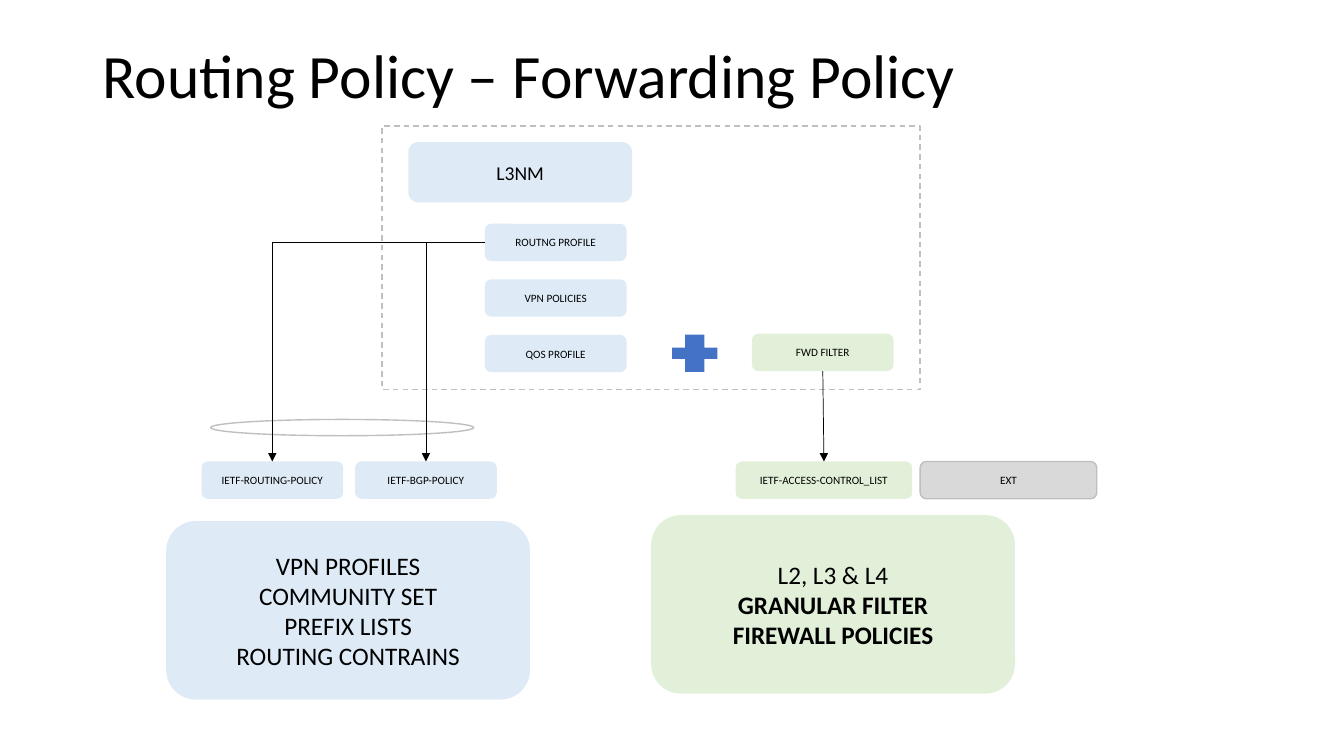
from lxml.etree import SubElement
from pptx import Presentation
from pptx.dml.color import RGBColor
from pptx.enum.dml import MSO_LINE
from pptx.enum.shapes import MSO_CONNECTOR, MSO_SHAPE
from pptx.enum.text import MSO_ANCHOR, MSO_AUTO_SIZE, PP_ALIGN
from pptx.oxml.ns import qn
from pptx.util import Cm, Pt

COLORS = {
    "black": "000000",
    "white": "FFFFFF",
    "blue": "DEEBF7",
    "green": "E2F0D9",
    "gray": "D9D9D9",
    "edge": "BFBFBF",
    "plus": "4472C4",
}
LEFT, TOP, BOTTOM = 1, 0, 2


class Board:
    font = "Calibri"

    def __init__(self, deck):
        self.slide = deck.slides.add_slide(deck.slide_layouts[5])
        self.shapes = self.slide.shapes

    def color(self, name):
        return RGBColor.from_string(COLORS[name])

    def label(self, frame, lines, size, align, bold=()):
        frame.word_wrap = True
        frame.text = "\n".join(lines)
        for line in frame.paragraphs:
            line.alignment = align
            line.font.name = self.font
            line.font.size = Pt(size)
            line.font.bold = line.text in bold
            line.font.color.rgb = self.color("black")

    def title(self, text, x, y, w, h):
        box = self.shapes.title
        box.left, box.top, box.width, box.height = Cm(x), Cm(y), Cm(w), Cm(h)
        frame = box.text_frame
        frame.auto_size = MSO_AUTO_SIZE.NONE
        frame.vertical_anchor = MSO_ANCHOR.TOP
        self.label(frame, [text], 44, PP_ALIGN.LEFT)
        frame.paragraphs[0].line_spacing = 0.9

    def shape(self, kind, x, y, w, h, fill, edge=None):
        shape = self.shapes.add_shape(kind, Cm(x), Cm(y), Cm(w), Cm(h))
        shape.shadow.inherit = False
        shape.fill.solid()
        shape.fill.fore_color.rgb = self.color(fill)
        if edge:
            shape.line.color.rgb = self.color(edge)
            shape.line.width = Pt(1)
        else:
            shape.line.fill.background()
        return shape

    def card(self, lines, x, y, w, h, fill, size=8, edge=None, bold=()):
        card = self.shape(MSO_SHAPE.ROUNDED_RECTANGLE, x, y, w, h, fill, edge)
        card.text_frame.vertical_anchor = MSO_ANCHOR.MIDDLE
        self.label(card.text_frame, lines, size, PP_ALIGN.CENTER, bold)
        return card

    def arrow(self, start, site, end, bent=False):
        kind = MSO_CONNECTOR.ELBOW if bent else MSO_CONNECTOR.STRAIGHT
        arrow = self.shapes.add_connector(kind, 0, 0, 0, 0)
        arrow.begin_connect(start, site)
        arrow.end_connect(end, TOP)
        arrow.line.color.rgb = self.color("black")
        arrow.line.width = Pt(0.5)
        props = arrow._element.spPr
        if bent:
            props.find(qn("a:prstGeom")).set("prst", "bentConnector2")
        SubElement(props.find(qn("a:ln")), qn("a:tailEnd"), type="triangle")
        SubElement(props, qn("a:effectLst"))


def main():
    deck = Presentation()
    deck.slide_width, deck.slide_height = Cm(33.87), Cm(19.05)
    board = Board(deck)
    board.title("Routing Policy – Forwarding Policy", 2.33, 1.02, 29.21, 3.68)

    frame = board.shape(MSO_SHAPE.RECTANGLE, 9.63, 3.18, 13.56, 6.64, "white", "edge")
    frame.line.dash_style = MSO_LINE.DASH
    board.card(["L3NM"], 10.29, 3.58, 5.64, 1.52, "blue", 14)

    wide, long, high = 3.57, 4.45, 0.94
    names = ["ROUTNG PROFILE", "VPN POLICIES", "QOS PROFILE"]
    parts = [board.card([name], 12.22, 5.64 + 1.4 * row, wide, high, "blue")
             for row, name in enumerate(names)]
    plus = board.shape(MSO_SHAPE.CROSS, 16.94, 8.43, 1.14, high, "plus")
    plus.adjustments[0] = 0.35
    filter_card = board.card(["FWD FILTER"], 18.95, 8.41, wide, high, "green")

    base = 11.63
    board.shape(MSO_SHAPE.OVAL, 5.31, 10.57, 6.63, 0.41, "white", "edge")
    names = ["IETF-ROUTING-POLICY", "IETF-BGP-POLICY"]
    for col, name in enumerate(names):
        policy = board.card([name], 5.08 + 3.87 * col, base, wide, high, "blue")
        board.arrow(parts[0], LEFT, policy, bent=True)
    access = board.card(["IETF-ACCESS-CONTROL_LIST"], 18.54, base, long, high, "green")
    board.arrow(filter_card, BOTTOM, access)
    board.card(["EXT"], 23.19, base, long, high, "gray", edge="edge")

    routes = ["VPN PROFILES", "COMMUNITY SET", "PREFIX LISTS", "ROUTING CONTRAINS"]
    rules = ["L2, L3 & L4", "GRANULAR FILTER", "FIREWALL POLICIES"]
    board.card(routes, 4.19, 13.13, 9.17, 4.5, "blue", 18)
    board.card(rules, 16.41, 12.98, 9.17, 4.5, "green", 18, bold=rules[1:])

    deck.save("out.pptx")


if __name__ == "__main__":
    main()
